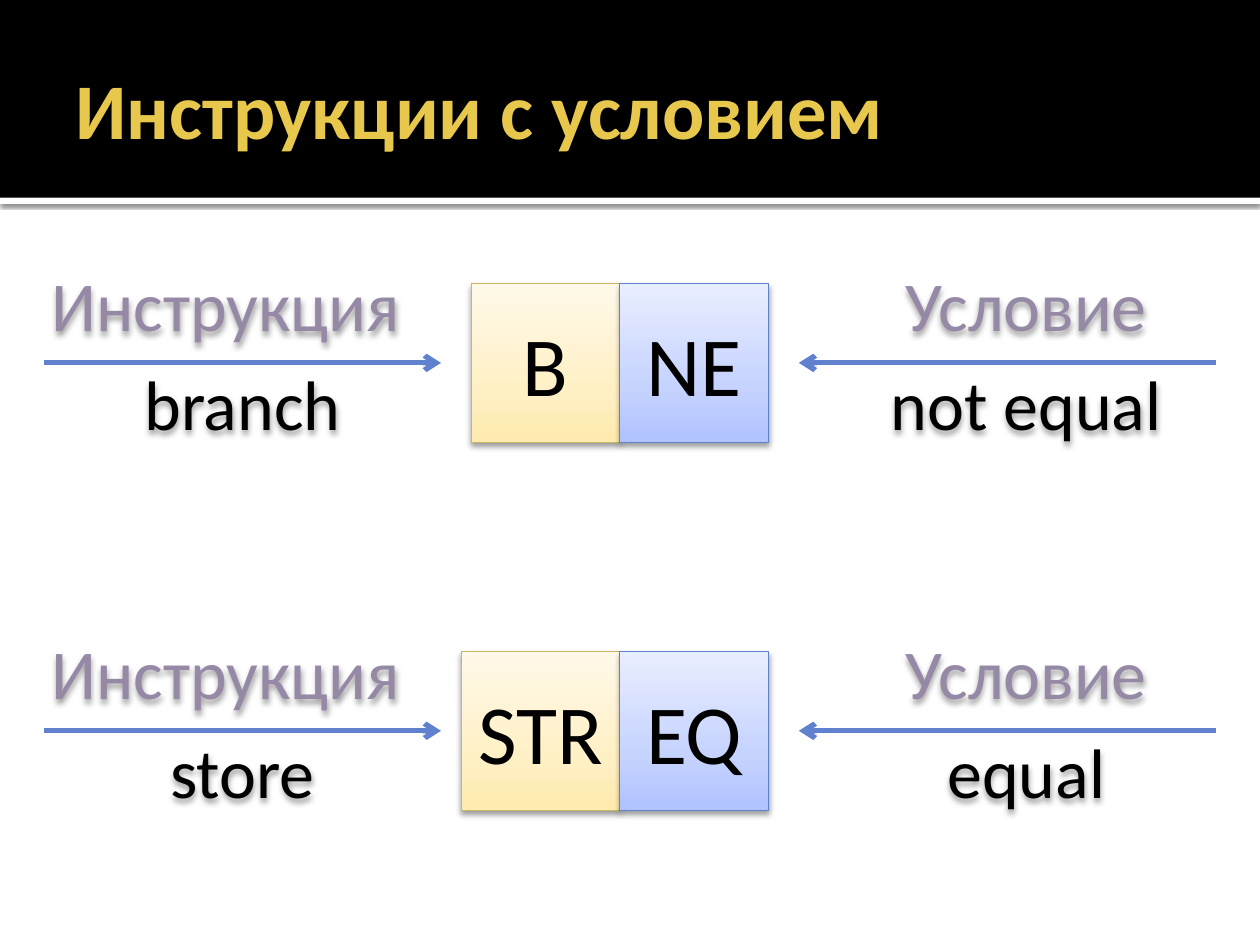
from pptx import Presentation
from pptx.dml.color import RGBColor
from pptx.enum import shapes, text
from pptx.oxml import parse_xml
from pptx.oxml.ns import nsdecls, qn
from pptx.util import Pt

COLORS = {
    "black": "000000", "white": "FFFFFF", "title": "E8C84C",
    "caption": "9689A6", "blue": "6081CD", "gold": "CCB661",
}
GOLD_STOPS = ((0, "FFEBAF"), (35, "FFF0C6"), (100, "FFF9E9"))
BLUE_STOPS = ((0, "B0C2FF"), (35, "C6D3FF"), (100, "E9EEFF"))


def cast_shadow(shape, blur, distance, opacity):
    """Give the shape a black shadow that falls straight down."""
    shape.shadow.inherit = False
    shape._element.spPr.find(qn("a:effectLst")).append(parse_xml(
        f'<a:outerShdw {nsdecls("a")} blurRad="{Pt(blur)}" dist="{Pt(distance)}" '
        f'dir="5400000" rotWithShape="0"><a:srgbClr val="{COLORS["black"]}">'
        f'<a:alpha val="{opacity * 1000}"/></a:srgbClr></a:outerShdw>'))


def write(shape, words, size, color, align=text.PP_ALIGN.CENTER, bold=False):
    frame = shape.text_frame
    frame.word_wrap = True
    frame.vertical_anchor = text.MSO_ANCHOR.MIDDLE
    paragraph = frame.paragraphs[0]
    paragraph.alignment = align
    run = paragraph.add_run()
    run.text = words
    run.font.name = "Calibri"
    run.font.size = Pt(size)
    run.font.bold = bold
    run.font.color.rgb = RGBColor.from_string(COLORS[color])


prs = Presentation()
prs.slide_width, prs.slide_height = Pt(720), Pt(540)
slide = prs.slides.add_slide(prs.slide_layouts[6])

# Header band with a white edge below it
HEADER_HEIGHT = 113
for top, height, color in ((HEADER_HEIGHT, 3.6, "white"), (0, HEADER_HEIGHT, "black")):
    band = slide.shapes.add_shape(
        shapes.MSO_SHAPE.RECTANGLE, 0, Pt(top), Pt(720), Pt(height))
    band.fill.solid()
    band.fill.fore_color.rgb = RGBColor.from_string(COLORS[color])
    band.line.fill.background()
    if color == "white":
        cast_shadow(band, 2.5, 0.8, 60)
    else:
        band.shadow.inherit = False

title = slide.shapes.add_textbox(Pt(36), Pt(12.24), Pt(648), Pt(98.64))
title.text_frame.margin_right = Pt(3.6)
write(title, "Инструкции с условием", 45, "title", text.PP_ALIGN.LEFT, bold=True)

# Each example: a mnemonic split into instruction and condition
SEAM = 354.24
BOX_HEIGHT = 90.72
LABEL_HEIGHT = 45.36
CAPTION_RISE = 56.5
examples = (
    (207.36, "B", 85, "NE", "branch", "not equal"),
    (417.6, "STR", 90.72, "EQ", "store", "equal"),
)
for middle, opcode, opcode_width, suffix, opcode_meaning, suffix_meaning in examples:
    group = slide.shapes.add_group_shape().shapes

    for left, width, code, stops, edge in (
        (SEAM - opcode_width, opcode_width, opcode, GOLD_STOPS, "gold"),
        (SEAM, 85, suffix, BLUE_STOPS, "blue"),
    ):
        box = group.add_shape(
            shapes.MSO_SHAPE.RECTANGLE, Pt(left), Pt(middle - BOX_HEIGHT / 2),
            Pt(width), Pt(BOX_HEIGHT))
        box.fill.gradient()
        box.fill.gradient_angle = 90
        stop_list = box._element.spPr.find(qn("a:gradFill")).find(qn("a:gsLst"))
        stop_list.clear()
        for position, color in stops:
            stop_list.append(parse_xml(
                f'<a:gs {nsdecls("a")} pos="{position * 1000}">'
                f'<a:srgbClr val="{color}"/></a:gs>'))
        box.line.color.rgb = RGBColor.from_string(COLORS[edge])
        box.line.width = Pt(0.5)
        cast_shadow(box, 3.5, 2, 38)
        write(box, code, 48, "black")

    for start, end in ((25.2, 252), (694.8, 456.48)):
        arrow = group.add_connector(
            shapes.MSO_CONNECTOR.STRAIGHT, Pt(start), Pt(middle), Pt(end), Pt(middle))
        arrow.line.color.rgb = RGBColor.from_string(COLORS["blue"])
        arrow.line.width = Pt(3)
        properties = arrow._element.spPr
        properties.find(qn("a:ln")).append(
            parse_xml(f'<a:tailEnd {nsdecls("a")} type="arrow"/>'))
        properties.append(parse_xml(f'<a:effectLst {nsdecls("a")}/>'))

    for left, width, top, words, color in (
        (0, 257.76, middle - CAPTION_RISE, "Инструкция", "caption"),
        (484.56, 203.76, middle - CAPTION_RISE, "Условие", "caption"),
        (484.56, 203.76, middle, suffix_meaning, "black"),
        (36.72, 203.76, middle, opcode_meaning, "black"),
    ):
        label = group.add_textbox(Pt(left), Pt(top), Pt(width), Pt(LABEL_HEIGHT))
        cast_shadow(label, 3.5, 2, 38)
        write(label, words, 40, color)

prs.save("out.pptx")
